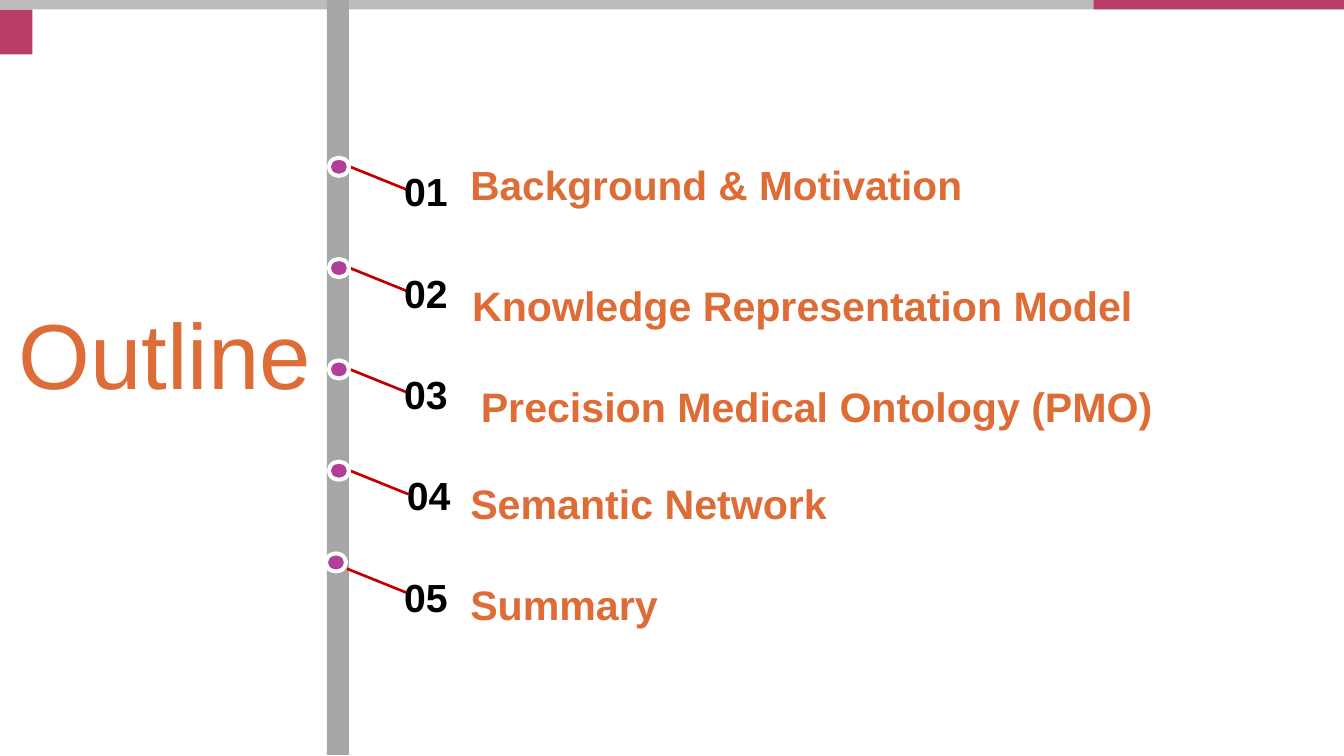
"""Builds an outline slide with five numbered topics along a vertical rail."""
from dataclasses import dataclass

from lxml import etree
from pptx import Presentation
from pptx.dml.color import RGBColor
from pptx.enum.shapes import MSO_CONNECTOR, MSO_SHAPE
from pptx.enum.text import MSO_ANCHOR, MSO_AUTO_SIZE, PP_ALIGN
from pptx.oxml.ns import qn
from pptx.util import Inches, Pt

RECT, OVAL = MSO_SHAPE.RECTANGLE, MSO_SHAPE.OVAL
LINE = MSO_CONNECTOR.STRAIGHT
LEFT, CENTER = PP_ALIGN.LEFT, PP_ALIGN.CENTER
MIDDLE = MSO_ANCHOR.MIDDLE
NO_FIT = MSO_AUTO_SIZE.NONE

TITLE = "Outline"
TOPICS = [
    {"text": "Background & Motivation", "box": (4.92, 1.65, 7.03, 0.56), "size": 30.6, "space": 1},
    {"text": "Knowledge Representation Model", "box": (4.94, 2.63, 8.66, 0.96), "space": 1.3},
    {"text": "Precision Medical Ontology (PMO)", "box": (5.03, 3.69, 8.72, 0.96), "space": 1.3},
    {"text": "Semantic Network", "box": (4.92, 4.93, 6.25, 0.56), "label_x": 4.11},
    {"text": "Summary", "box": (4.92, 5.99, 3.34, 0.56), "dot": (3.41, 5.79), "link": (3.63, 5.95)},
]
STEP = 1.06


@dataclass(frozen=True)
class Theme:
    """Colours, font and type sizes of the slide."""
    font: str = "Arial"
    accent: str = "DE6C36"
    ink: str = "000000"
    white: str = "FFFFFF"
    band: str = "BCBCBC"
    rail: str = "A6A6A6"
    rose: str = "B83D68"
    dot: str = "B13F9A"
    link: str = "C00000"
    title: float = 69.6
    topic: float = 31
    label: float = 29.5


THEME = Theme()
BARS = [
    ((0, 0, 14.06, 0.1), THEME.band),
    ((11.44, 0, 2.62, 0.1), THEME.rose),
    ((0, 0.1, 0.34, 0.47), THEME.rose),
    ((3.42, 0, 0.23, 7.9), THEME.rail),
]


def color(code):
    """Return the colour for a hex code."""
    return RGBColor.from_string(code)


def place(shape, box):
    """Set the bounds of a shape in inches."""
    shape.left, shape.top, shape.width, shape.height = map(Inches, box)


def write(shape, text, *, size, tint=THEME.accent, bold=True, align=LEFT, space=1, wrap=True):
    """Put one formatted paragraph into a shape."""
    frame = shape.text_frame
    frame.auto_size = NO_FIT
    frame.word_wrap = wrap
    frame.vertical_anchor = MIDDLE
    frame.margin_left = frame.margin_right = frame.margin_top = frame.margin_bottom = 0
    para = frame.paragraphs[0]
    para.alignment, para.line_spacing = align, space
    run = para.add_run()
    run.text = text
    font = run.font
    font.name, font.size, font.bold = THEME.font, Pt(size), bold
    font.color.rgb = color(tint)


def draw(slide, kind, box, fill, edge=None):
    """Add a flat shape with an optional outline."""
    shape = slide.shapes.add_shape(kind, *map(Inches, box))
    shape.shadow.inherit = False
    shape.fill.solid()
    shape.fill.fore_color.rgb = color(fill)
    if edge:
        shape.line.color.rgb = color(edge)
        shape.line.width = Pt(3)
    else:
        shape.line.fill.background()


def join(slide, x, y):
    """Add the slanted line from a dot to its number."""
    line = slide.shapes.add_connector(LINE, *map(Inches, (x, y, x + 0.62, y + 0.25)))
    line.line.color.rgb = color(THEME.link)
    line.line.width = Pt(2)
    etree.SubElement(line._element.spPr, qn("a:effectLst"))


def add_topic(slide, index, topic):
    """Add the dot, line, number and text of one topic."""
    shift = index * STEP
    join(slide, *topic.get("link", (3.65, 1.74 + shift)))
    draw(slide, OVAL, (*topic.get("dot", (3.44, 1.65 + shift)), 0.21, 0.19), THEME.dot, THEME.white)
    body = slide.shapes.add_textbox(*map(Inches, topic["box"]))
    write(body, topic["text"], size=topic.get("size", THEME.topic), space=topic.get("space", 1.2))
    label = slide.shapes.add_textbox(
        *map(Inches, (topic.get("label_x", 4.08), 1.75 + shift, 0.75, 0.5)))
    write(label, f"{index + 1:02}", size=THEME.label, tint=THEME.ink, align=CENTER, wrap=False)


def main():
    """Build and save the slide."""
    deck = Presentation()
    deck.slide_width, deck.slide_height = Inches(14.06), Inches(7.91)
    slide = deck.slides.add_slide(deck.slide_layouts[5])
    title = slide.shapes.title
    place(title, (0.1, 3.05, 3.25, 1.28))
    write(title, TITLE, size=THEME.title, bold=False, align=CENTER, wrap=False)
    for box, fill in BARS:
        draw(slide, RECT, box, fill)
    for index, topic in enumerate(TOPICS):
        add_topic(slide, index, topic)
    deck.save("out.pptx")


if __name__ == "__main__":
    main()
